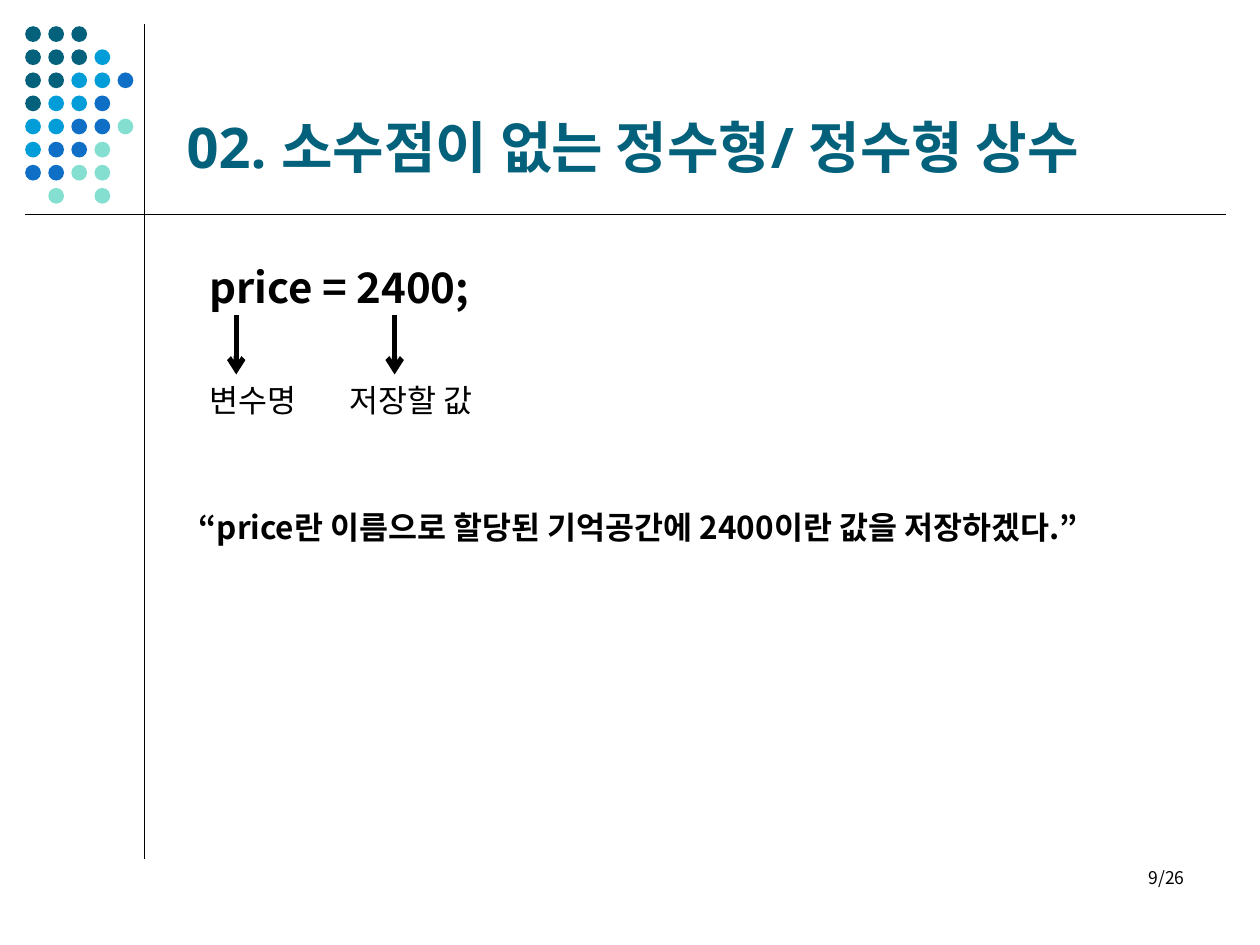
import pptx
import pptx.dml.color
import pptx.enum.shapes
import pptx.enum.text
import pptx.oxml
import pptx.oxml.ns
import pptx.util
from dataclasses import dataclass

Pt = pptx.util.Pt
Anchor = pptx.enum.text.MSO_ANCHOR
Align = pptx.enum.text.PP_ALIGN


@dataclass(frozen=True)
class Theme:
    black: str = "000000"
    teal: str = "04617B"
    sky: str = "009DD9"
    blue: str = "0F6FC6"
    mint: str = "85DFD0"
    title_font: str = "Noto Sans"
    body_font: str = "Noto Sans CJK KR"
    title_size: int = 32
    code_size: int = 24
    body_size: int = 18
    number_size: int = 10
    rule_width: float = 0.75
    arrow_width: float = 3


class Painter:
    """Holds the theme and the current page."""

    def __init__(self, theme, page):
        self.theme = theme
        self.page = page

    def color(self, code):
        return pptx.dml.color.RGBColor.from_string(code)

    def element(self, parent, tag, **attributes):
        child = pptx.oxml.parse_xml(f"<{tag} {pptx.oxml.ns.nsdecls('a')}/>")
        for name, value in attributes.items():
            child.set(name, str(value))
        parent.append(child)
        return child

    def dot(self, left, top, size, color):
        shape = self.page.shapes.add_shape(
            pptx.enum.shapes.MSO_SHAPE.OVAL, Pt(left), Pt(top), Pt(size), Pt(size))
        shape.shadow.inherit = False
        shape.fill.solid()
        shape.fill.fore_color.rgb = self.color(color)
        shape.line.fill.background()

    def line(self, start, end, width, arrow=False):
        connector = self.page.shapes.add_connector(
            pptx.enum.shapes.MSO_CONNECTOR.STRAIGHT, *map(Pt, start + end))
        connector.line.width = Pt(width)
        connector.line.color.rgb = self.color(self.theme.black)
        if arrow:
            self.element(connector.line._get_or_add_ln(), "a:tailEnd", type="arrow")
        self.element(connector._element.spPr, "a:effectLst")

    def text(self, words, area, size, bold=False, font=None, color=None,
             anchor=Anchor.TOP, align=Align.LEFT, tab=None):
        box = self.page.shapes.add_textbox(*map(Pt, area))
        frame = box.text_frame
        frame.word_wrap = True
        frame.vertical_anchor = anchor
        para = frame.paragraphs[0]
        para.alignment = align
        if tab:
            tabs = self.element(para._p.get_or_add_pPr(), "a:tabLst")
            self.element(tabs, "a:tab", pos=Pt(tab), algn="l")
        span = para.add_run()
        span.text = words
        formats = {"name": font or self.theme.body_font, "size": Pt(size), "bold": bold}
        for name, value in formats.items():
            setattr(span.font, name, value)
        span.font.color.rgb = self.color(color or self.theme.black)
        self.element(span._r.get_or_add_rPr(), "a:ea", typeface=self.theme.body_font)


def main():
    theme = Theme()
    deck = pptx.Presentation()
    deck.slide_width, deck.slide_height = Pt(720), Pt(540)
    painter = Painter(theme, deck.slides.add_slide(deck.slide_layouts[6]))

    # Vertical rule, dot pattern and horizontal rule
    painter.line((82.5, 14), (82.5, 491), theme.rule_width)
    dot_colors = {"T": theme.teal, "S": theme.sky, "B": theme.blue, "M": theme.mint}
    dot_rows = ["TTT", "TTTS", "TTSSB", "TSSB", "SSBBM", "SBBM", "BBMM", " M M"]
    pitch = 13.2
    for row, marks in enumerate(dot_rows):
        for column, mark in enumerate(marks):
            if mark in dot_colors:
                painter.dot(14.4 + column * pitch, 15 + row * pitch, 9, dot_colors[mark])
    painter.line((14.4, 122.6), (700.5, 122.6), theme.rule_width)

    # Title
    painter.text("02. 소수점이 없는 정수형/ 정수형 상수", (99.5, 15, 594, 91),
                 theme.title_size, bold=True, font=theme.title_font,
                 color=theme.teal, anchor=Anchor.BOTTOM)

    # Assignment with its two labelled parts
    painter.text("price = 2400;", (112.5, 146, 292, 36), theme.code_size,
                 bold=True, anchor=Anchor.MIDDLE)
    for arrow_x in (135, 225.5):
        painter.line((arrow_x, 180), (arrow_x, 214), theme.arrow_width, arrow=True)
    painter.text("변수명\t저장할 값", (112.5, 214, 242, 29), theme.body_size, tab=80)

    # Meaning of the statement
    painter.text("“price란 이름으로 할당된 기억공간에 2400이란 값을 저장하겠다.”",
                 (106.5, 286.5, 596, 50), theme.body_size, bold=True)

    # Page number
    painter.text("9/26", (516, 492, 168, 36), theme.number_size, align=Align.RIGHT)

    deck.save("out.pptx")


if __name__ == "__main__":
    main()
